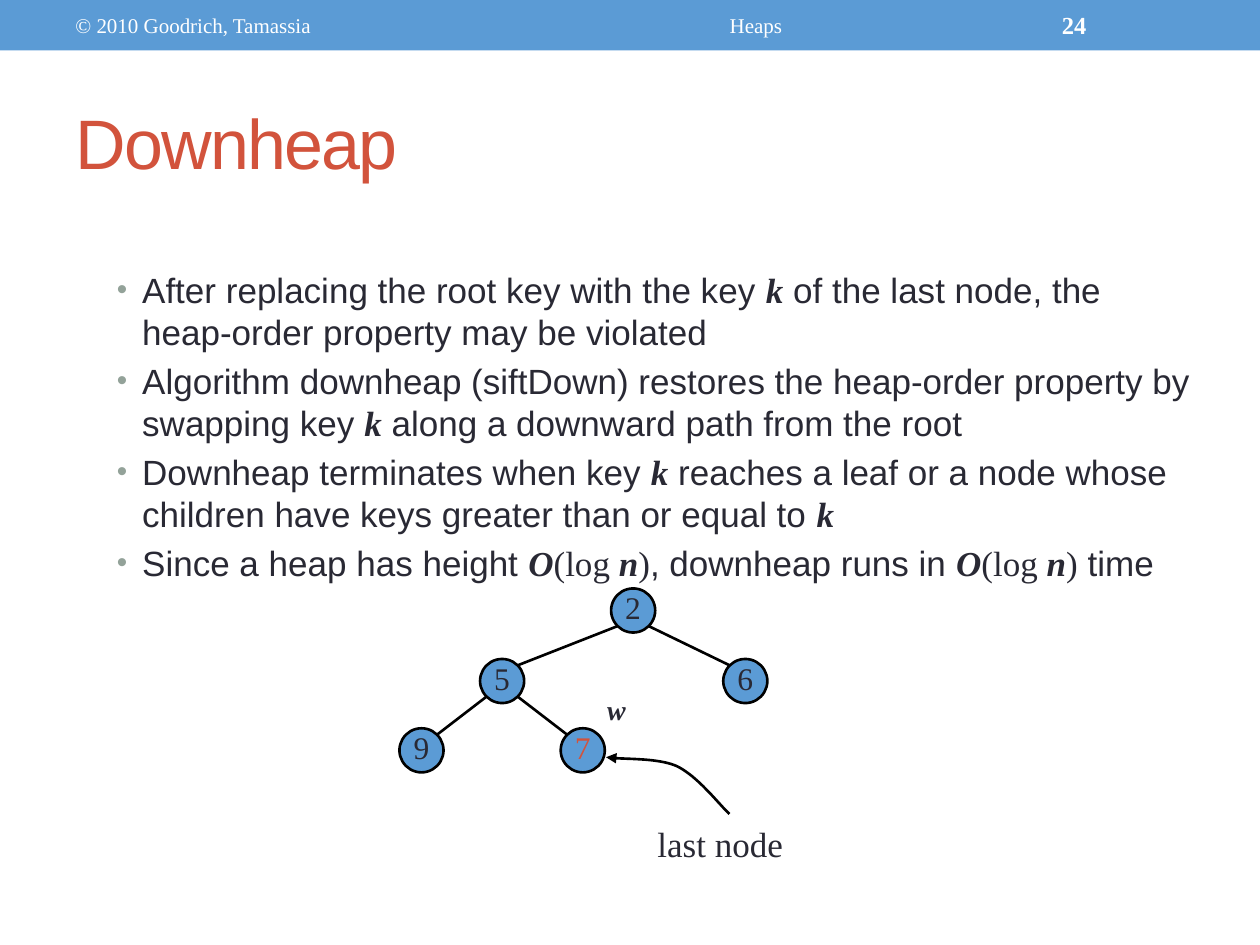
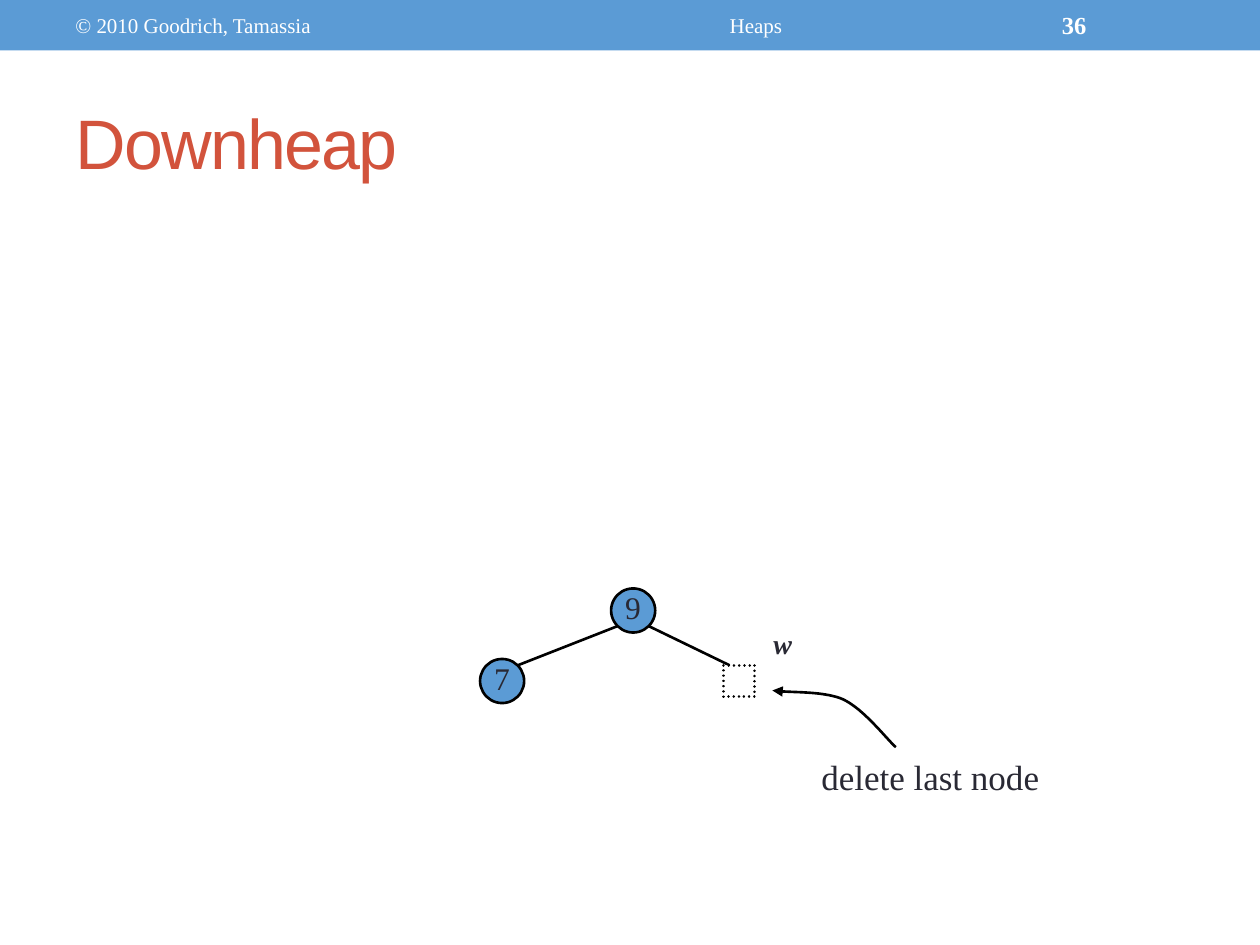
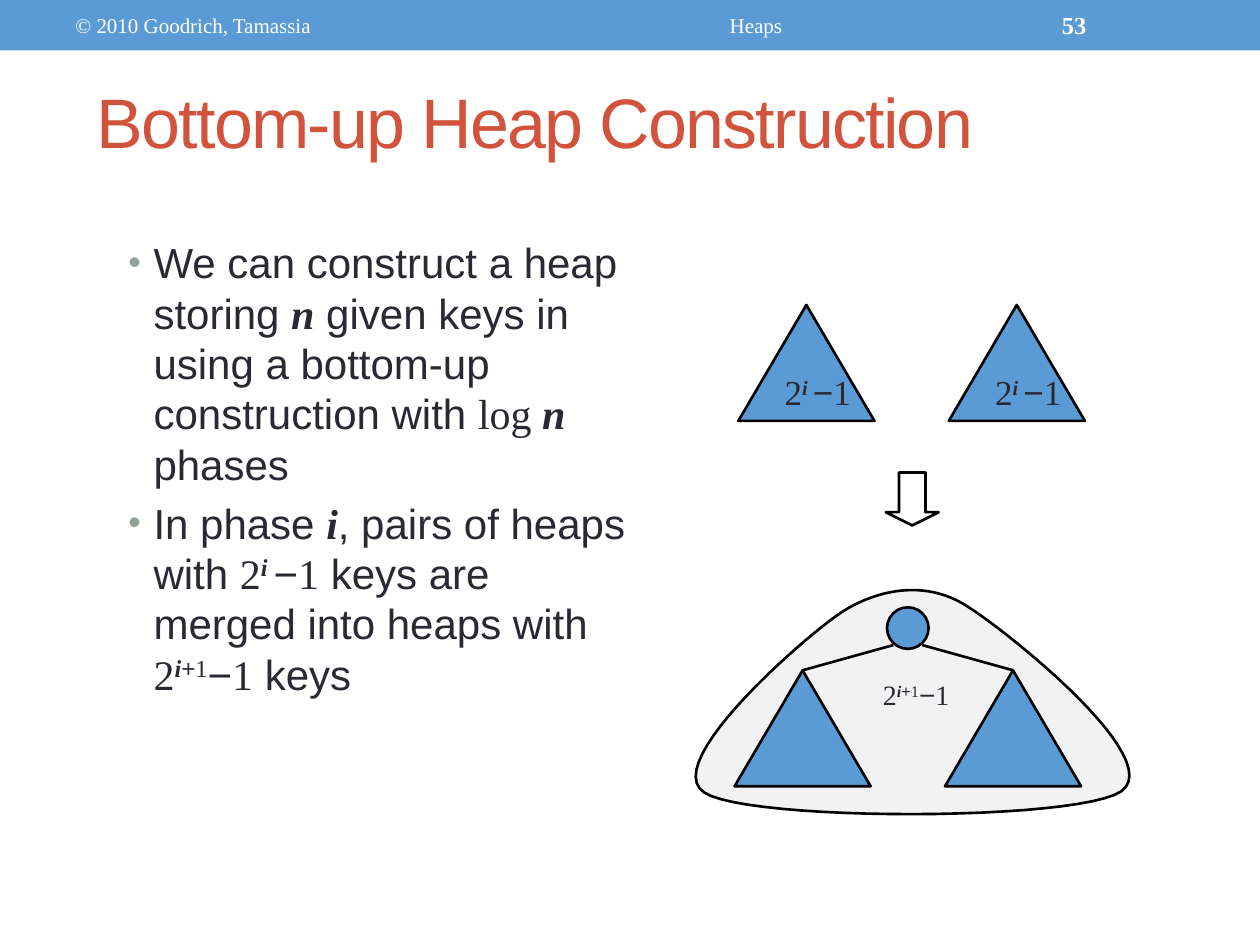
from typing import NamedTuple, Optional

import lxml.etree
import pptx
import pptx.dml.color
import pptx.enum.dml
import pptx.enum.shapes
import pptx.enum.text
import pptx.oxml.ns
import pptx.util

PX = 9144
SLIDE_WIDTH, SLIDE_HEIGHT = 1000, 750
SANS, SERIF = "Arial", "Times New Roman"
COLORS = {
    "blue": "5B9BD5",
    "red": "D2533C",
    "ink": "292934",
    "bullet": "93A299",
    "mound": "F2F2F2",
    "black": "000000",
    "white": "FFFFFF",
}
SHAPES = pptx.enum.shapes.MSO_SHAPE
ALIGN = pptx.enum.text.PP_ALIGN
ANCHOR = pptx.enum.text.MSO_ANCHOR
NODE_SIZE = 35
OUTLINE = 1.5
CURVE_STEPS = 24


class Box(NamedTuple):
    left: int
    top: int
    width: int
    height: int

    def emu(self) -> list[int]:
        return [value * PX for value in self]


class Span(NamedTuple):
    text: str
    face: str = SANS
    strong: bool = False
    italic: bool = False
    raised: bool = False


class Style(NamedTuple):
    size: int
    color: str = "ink"
    spacing: int = 0


class Node(NamedTuple):
    left: int
    top: int
    key: str = ""
    color: str = "ink"
    size: int = NODE_SIZE
    parent: Optional[int] = None
    deleted: bool = False


class Pointer(NamedTuple):
    tip: tuple[int, int]
    caption: str
    caption_box: Box
    variable_box: Box


def serif(text: str, raised: bool = False) -> Span:
    return Span(text, SERIF, raised=raised)


def variable(text: str, raised: bool = False) -> Span:
    return Span(text, SERIF, True, True, raised)


K, N, MINUS = variable("k"), variable("n"), Span("−")
HEIGHT = [variable("O"), serif("(log "), N, serif(")")]
SUBHEAP_SIZE = [serif("2"), variable("i ", True), MINUS, serif("1")]
MERGED_SIZE = [
    serif("2"), variable("i", True), Span("+", raised=True), serif("1", True),
    MINUS, serif("1"),
]

DOWNHEAP_POINTS = [
    [Span("After replacing the root key with the key "), K,
     Span(" of the last node, the heap-order property may be violated")],
    [Span("Algorithm downheap (siftDown) restores the heap-order property by swapping key "),
     K, Span(" along a downward path from the root")],
    [Span("Downheap terminates when key "), K,
     Span(" reaches a leaf or a node whose children have keys greater than or equal to "), K],
    [Span("Since a heap has height "), *HEIGHT, Span(", downheap runs in "), *HEIGHT,
     Span(" time")],
]
CONSTRUCTION_POINTS = [
    [Span("We can construct a heap storing "), N,
     Span(" given keys in using a bottom-up construction with "), serif("log "), N,
     Span(" phases")],
    [Span("In phase "), variable("i"), Span(", pairs of heaps with "), *SUBHEAP_SIZE,
     Span(" keys are merged into heaps with "), *MERGED_SIZE, Span(" keys")],
]

FOOTER = Style(12, "white")
TITLE = Style(40, "red", -100)
TITLE_BOX = Box(50, 58, 900, 108)
POINTER_START = (98, 45)
POINTER_CURVE = [((91, 39), (73, 15), (56, 7)), ((40, 0), (12, 2), (0, 0))]
MOUND_START = (671, 484)
MOUND_CURVE = [
    ((647, 498), (522, 605), (559, 629)),
    ((594, 652), (855, 652), (890, 628)),
    ((925, 603), (806, 506), (769, 482)),
    ((733, 458), (694, 470), MOUND_START),
]


def rgb(color: str) -> pptx.dml.color.RGBColor:
    return pptx.dml.color.RGBColor.from_string(COLORS[color])


def write(paragraph, spans: list[Span], style: Style) -> None:
    for span in spans:
        run = paragraph.add_run()
        run.text = span.text
        run.font.size = pptx.util.Pt(style.size)
        run.font.name = span.face
        run.font.bold = span.strong
        run.font.italic = span.italic
        run.font.color.rgb = rgb(style.color)
        properties = run._r.get_or_add_rPr()
        if span.raised:
            properties.set("baseline", "30000")
        if style.spacing:
            properties.set("spc", str(style.spacing))


def add_text(slide, box: Box, spans: list[Span], style: Style, anchor=ANCHOR.TOP,
             align=ALIGN.LEFT, wrap: bool = False) -> None:
    frame = slide.shapes.add_textbox(*box.emu()).text_frame
    frame.word_wrap = wrap
    frame.vertical_anchor = anchor
    frame.paragraphs[0].alignment = align
    write(frame.paragraphs[0], spans, style)


def add_bullet(paragraph) -> None:
    properties = paragraph._p.get_or_add_pPr()
    properties.set("marL", str(20 * PX))
    properties.set("indent", str(-20 * PX))
    qn = pptx.oxml.ns.qn
    tint = lxml.etree.SubElement(properties, qn("a:buClr"))
    lxml.etree.SubElement(tint, qn("a:srgbClr"), val=COLORS["bullet"])
    lxml.etree.SubElement(properties, qn("a:buSzPct"), val="85000")
    lxml.etree.SubElement(properties, qn("a:buFont"), typeface=SANS)
    lxml.etree.SubElement(properties, qn("a:buChar"), char="•")


def add_points(slide, box: Box, points: list[list[Span]], size: int) -> None:
    frame = slide.shapes.add_textbox(*box.emu()).text_frame
    frame.word_wrap = True
    for index, spans in enumerate(points):
        paragraph = frame.paragraphs[0] if index == 0 else frame.add_paragraph()
        add_bullet(paragraph)
        if index:
            paragraph.space_before = pptx.util.Pt(size / 5)
        write(paragraph, spans, Style(size))


def paint(shape, fill: Optional[str], line: Optional[str] = "black"):
    shape.shadow.inherit = False
    if fill:
        shape.fill.solid()
        shape.fill.fore_color.rgb = rgb(fill)
    else:
        shape.fill.background()
    if line:
        shape.line.color.rgb = rgb(line)
        shape.line.width = pptx.util.Pt(OUTLINE)
    else:
        shape.line.fill.background()
    return shape


def add_figure(slide, kind, box: Box, fill: Optional[str], line: Optional[str] = "black"):
    return paint(slide.shapes.add_shape(kind, *box.emu()), fill, line)


def add_curve(slide, start: tuple[int, int], curve: list, fill: Optional[str] = None):
    points, current = [], start
    for first, second, end in curve:
        for step in range(1, CURVE_STEPS + 1):
            t = step / CURVE_STEPS
            u = 1 - t
            points.append(tuple(
                round(PX * (u**3 * a + 3 * u * u * t * b + 3 * u * t * t * c + t**3 * d))
                for a, b, c, d in zip(current, first, second, end)
            ))
        current = end
    builder = slide.shapes.build_freeform(start[0] * PX, start[1] * PX)
    builder.add_line_segments(points, close=fill is not None)
    return paint(builder.convert_to_shape(), fill)


def add_edge(slide, start: tuple[int, int], end: tuple[int, int]):
    edge = slide.shapes.add_connector(
        pptx.enum.shapes.MSO_CONNECTOR.STRAIGHT, *(value * PX for value in start + end))
    edge.line.color.rgb = rgb("black")
    edge.line.width = pptx.util.Pt(OUTLINE)
    lxml.etree.SubElement(edge._element.spPr, pptx.oxml.ns.qn("a:effectLst"))
    return edge


def node_corner(node: Node, right: bool, bottom: bool) -> tuple[int, int]:
    inset = round(node.size * 0.146)
    far = node.size - inset
    return node.left + (far if right else inset), node.top + (far if bottom else inset)


def add_node(slide, node: Node) -> None:
    if node.deleted:
        gap = add_figure(slide, SHAPES.RECTANGLE, Box(node.left, node.top + 5, 25, 25), "white")
        gap.line.dash_style = pptx.enum.dml.MSO_LINE.ROUND_DOT
        gap.line._get_or_add_ln().set("cap", "rnd")
        return
    circle = add_figure(
        slide, SHAPES.OVAL, Box(node.left, node.top, node.size, node.size), "blue")
    if node.key:
        frame = circle.text_frame
        frame.margin_left = frame.margin_right = frame.margin_top = 0
        frame.margin_bottom = 5 * PX
        frame.word_wrap = False
        frame.vertical_anchor = ANCHOR.MIDDLE
        frame.paragraphs[0].alignment = ALIGN.CENTER
        write(frame.paragraphs[0], [serif(node.key)], Style(18, node.color))


def add_heap(slide, nodes: list[Node]) -> None:
    for node in nodes:
        if node.parent is not None:
            parent = nodes[node.parent]
            right = node.left > parent.left
            add_edge(slide, node_corner(parent, right, True),
                     node_corner(node, not right, False))
    for node in nodes:
        add_node(slide, node)


def add_pointer(slide, pointer: Pointer) -> None:
    def place(offset: tuple[int, int]) -> tuple[int, int]:
        return pointer.tip[0] + offset[0], pointer.tip[1] + offset[1]

    curve = [tuple(place(offset) for offset in piece) for piece in POINTER_CURVE]
    arrow = add_curve(slide, place(POINTER_START), curve)
    lxml.etree.SubElement(
        arrow.line._get_or_add_ln(), pptx.oxml.ns.qn("a:tailEnd"), type="triangle")
    add_text(slide, pointer.caption_box, [serif(pointer.caption)], Style(20))
    add_text(slide, pointer.variable_box, [variable("w")], Style(16))


def add_subheap(slide, left: int, top: int, size_label: Optional[list[Span]] = None):
    subheap = add_figure(
        slide, SHAPES.ISOSCELES_TRIANGLE, Box(left, top, 108, 92), "blue")
    if size_label:
        frame = subheap.text_frame
        frame.word_wrap = False
        frame.vertical_anchor = ANCHOR.MIDDLE
        frame.paragraphs[0].alignment = ALIGN.LEFT
        write(frame.paragraphs[0], size_label, Style(20))
    return subheap


def add_page(deck, title: str, number: int, title_box: Box = TITLE_BOX):
    slide = deck.slides.add_slide(deck.slide_layouts[6])
    add_figure(slide, SHAPES.RECTANGLE, Box(0, 0, SLIDE_WIDTH, 40), "blue", None)
    middle = ANCHOR.MIDDLE
    add_text(slide, Box(50, 2, 317, 36), [serif("© 2010 Goodrich, Tamassia")], FOOTER,
             middle, wrap=True)
    add_text(slide, Box(375, 2, 450, 36), [serif("Heaps")], FOOTER, middle, ALIGN.CENTER, True)
    add_text(slide, Box(833, 2, 117, 36), [Span(str(number), SERIF, True)],
             Style(14, "white"), middle, wrap=True)
    add_text(slide, title_box, [Span(title)], TITLE, middle, wrap=True)
    return slide


def build_downheap(deck) -> None:
    slide = add_page(deck, "Downheap", 24)
    add_points(slide, Box(83, 208, 875, 267), DOWNHEAP_POINTS, 20)
    add_heap(slide, [
        Node(485, 467, "2"),
        Node(381, 523, "5", parent=0),
        Node(574, 523, "6", parent=0),
        Node(317, 578, "9", parent=1),
        Node(445, 578, "7", "red", parent=1),
    ])
    add_pointer(slide, Pointer(
        (481, 601), "last node", Box(512, 648, 120, 43), Box(472, 545, 35, 36)))


def build_deletion(deck) -> None:
    slide = add_page(deck, "Downheap", 36)
    add_heap(slide, [
        Node(485, 467, "9"),
        Node(381, 523, "7", parent=0),
        Node(574, 523, parent=0, deleted=True),
    ])
    add_pointer(slide, Pointer(
        (613, 548), "delete last node", Box(642, 595, 193, 43), Box(604, 492, 35, 36)))


def build_construction(deck) -> None:
    slide = add_page(deck, "Bottom-up Heap Construction", 53, Box(67, 33, 758, 125))
    add_points(slide, Box(92, 183, 425, 467), CONSTRUCTION_POINTS, 24)
    for left in (586, 753):
        add_subheap(slide, left, 242, SUBHEAP_SIZE)
    merge_arrow = add_figure(slide, SHAPES.DOWN_ARROW, Box(703, 375, 42, 42), None)
    merge_arrow.adjustments[0] = 0.5
    merge_arrow.adjustments[1] = 0.25
    add_curve(slide, MOUND_START, MOUND_CURVE, "mound")
    root = Node(704, 482, size=33)
    for left, right in ((583, False), (750, True)):
        subheap = add_subheap(slide, left, 532)
        corner_x, corner_y = node_corner(root, right, True)
        edge = add_edge(slide, (corner_x, corner_y + 2), (left + 54, 532))
        edge.end_connect(subheap, 0)
    add_node(slide, root)
    add_text(slide, Box(691, 533, 76, 36), MERGED_SIZE, Style(16))


def main() -> None:
    deck = pptx.Presentation()
    deck.slide_width = SLIDE_WIDTH * PX
    deck.slide_height = SLIDE_HEIGHT * PX
    build_downheap(deck)
    build_deletion(deck)
    build_construction(deck)
    deck.save("out.pptx")


if __name__ == "__main__":
    main()
